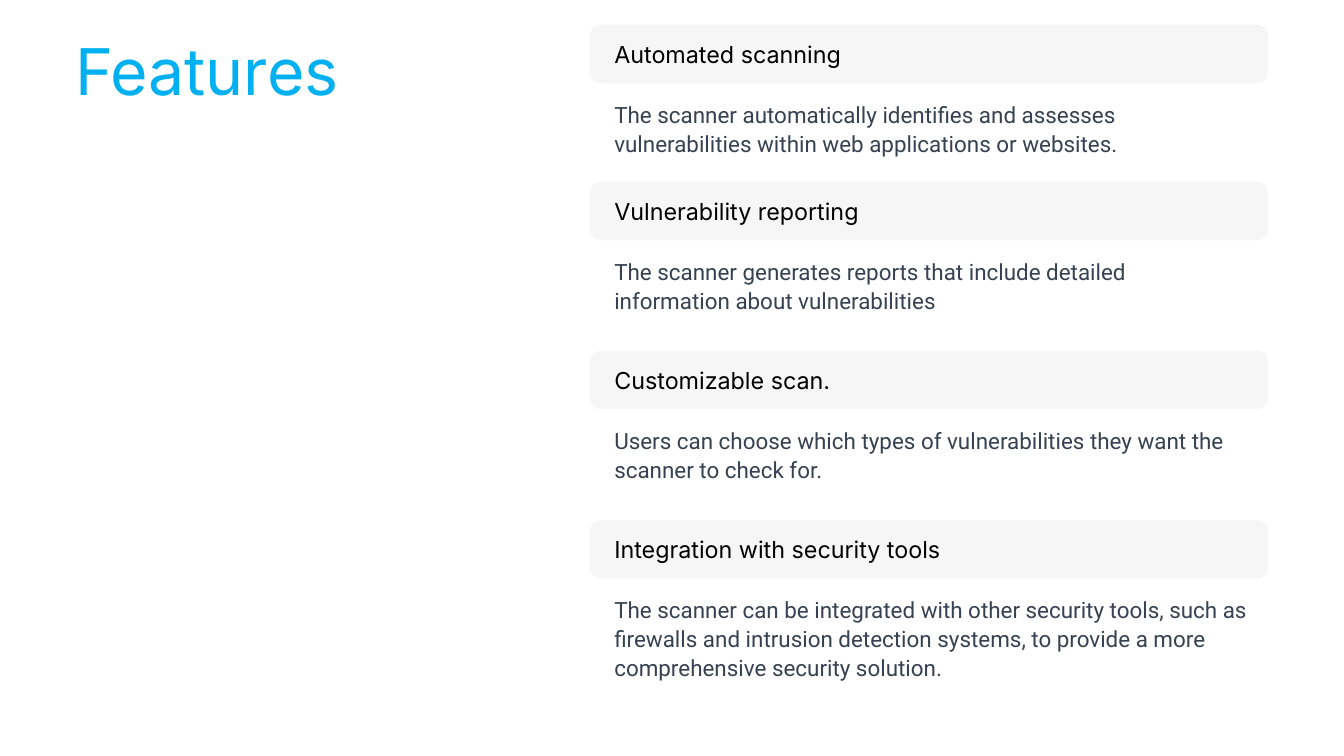
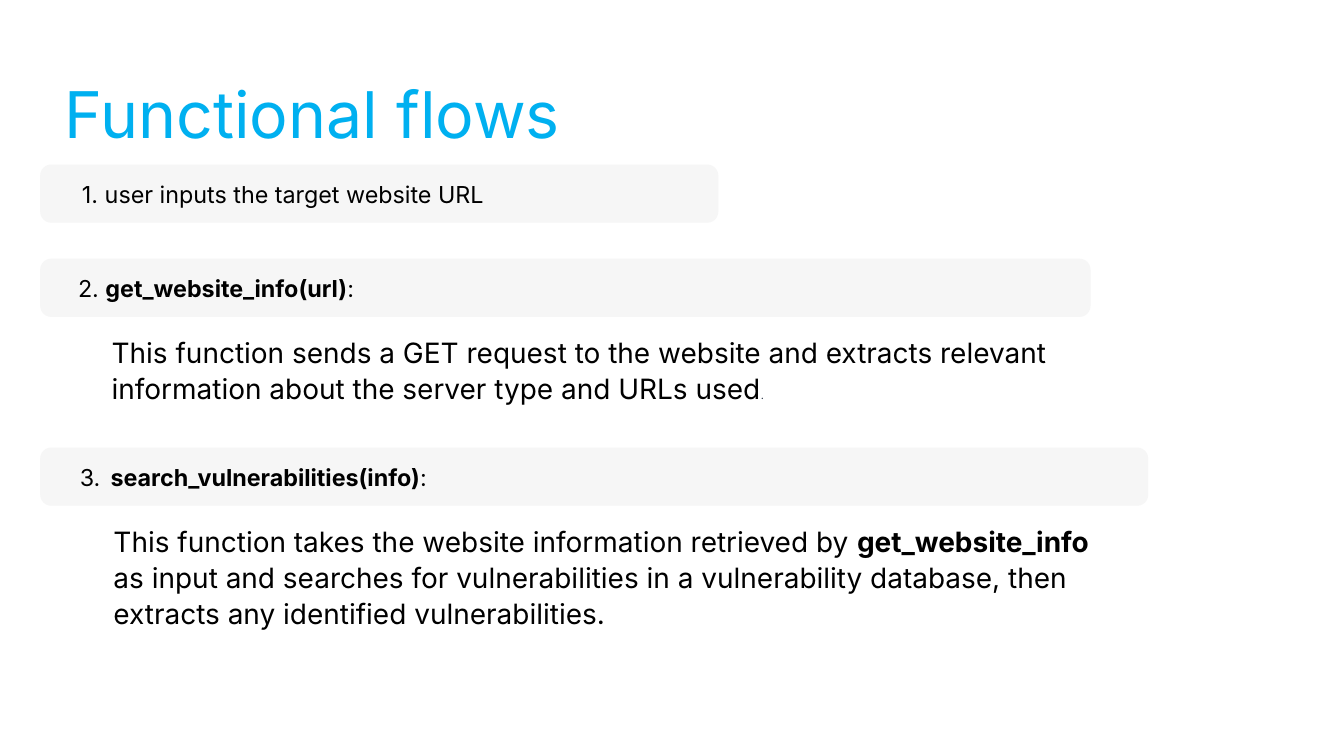
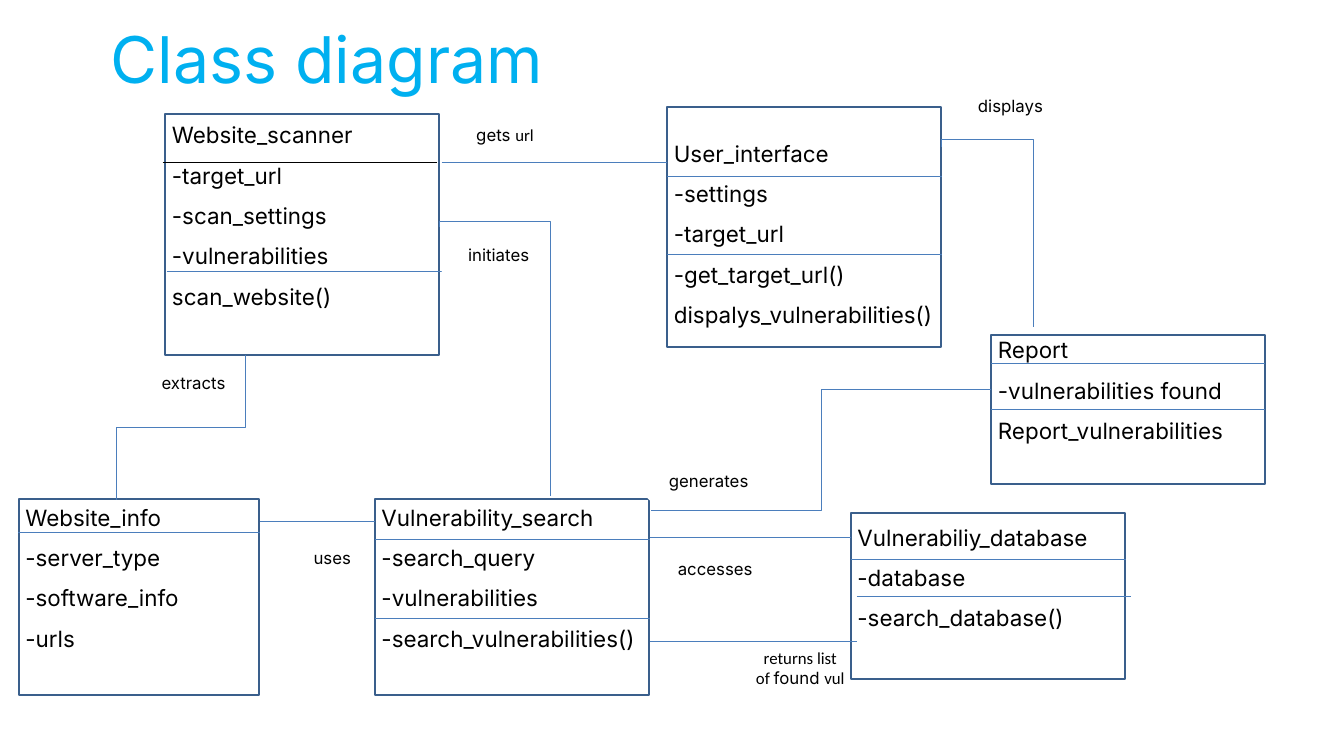
from lxml import etree
from pptx import Presentation
from pptx.dml.color import RGBColor
from pptx.enum import shapes as kinds, text as txt
from pptx.oxml import ns
from pptx.util import Cm, Pt

hues = {"sky": "00B0F0", "ink": "000000", "slate": "374151", "band": "F1F1F1",
        "white": "FFFFFF", "edge": "3A5F8C", "wire": "4B7EBC"}
tint = {name: RGBColor.from_string(code) for name, code in hues.items()}
looks = {
    "title": (69, "Inter", "sky", False),
    "head": (25, "Inter", "ink", False),
    "name": (25, "Inter", "ink", True),
    "gap": (18, "DejaVu Sans Mono", "ink", True),
    "body": (24, "Roboto", "slate", False),
    "large": (30, "Inter", "ink", False),
    "strong": (30, "Inter", "ink", True),
    "dot": (12, "Lato", "slate", False),
    "field": (24, "Inter", "ink", False),
    "note": (18, "Inter", "ink", False),
    "plain": (18, "Calibri", "ink", False),
}


def write(par, bits):
    for words, look in bits:
        run = par.add_run()
        run.text = words
        size, face, hue, bold = looks[look]
        run.font.size = Pt(size)
        run.font.name = face
        run.font.bold = bold
        run.font.color.rgb = tint[hue]


def put(shape, spot, bits, lead):
    shape.left, shape.top, shape.width, shape.height = [Cm(n) for n in spot]
    frame = shape.text_frame
    frame.word_wrap = True
    frame.auto_size = txt.MSO_AUTO_SIZE.NONE
    frame.vertical_anchor = txt.MSO_ANCHOR.TOP
    frame.margin_left = frame.margin_right = frame.margin_top = frame.margin_bottom = 0
    par = frame.paragraphs[0]
    par.alignment = txt.PP_ALIGN.LEFT
    par.line_spacing = lead
    write(par, bits)


deck = Presentation()
deck.slide_width, deck.slide_height = Cm(50.8), Cm(28.58)

feats = [
    (0.94, 23.8, "Automated scanning",
     "The scanner automatically identifies and assesses vulnerabilities within web applications or websites."),
    (6.88, 23.8, "Vulnerability reporting",
     "The scanner generates reports that include detailed information about vulnerabilities"),
    (13.26, 23.8, "Customizable scan.",
     "Users can choose which types of vulnerabilities they want the scanner to check for."),
    (19.66, 24.71, "Integration with security tools",
     "The scanner can be integrated with other security tools, such as firewalls and intrusion detection "
     "systems, to provide a more comprehensive security solution."),
]
cards = [((22.3, top, 25.63), (23.22, 23.8), [(head, "head")], (23.22, wide), [(body, "body")])
         for top, wide, head, body in feats]
flows = [
    ((1.52, 6.22, 25.63), (3.1, 23.8), [("1. user inputs the target website URL", "head")], None, []),
    ((1.52, 9.78, 39.7), (2.95, 36.86),
     [("2. ", "head"), ("get_website_info(url)", "name"), (":", "head")],
     (4.22, 35.59),
     [("This function sends a GET request to the website and extracts relevant information about the "
       "server type and URLs used", "large"), (".", "dot")]),
    ((1.52, 16.92, 41.88), (3.02, 38.89),
     [("3.", "head"), (" ", "gap"), ("search_vulnerabilities(info)", "name"), (":", "head")],
     (4.29, 37.62),
     [("This function takes the website information retrieved by ", "large"),
      ("get_website_info ", "strong"),
      ("as input and searches for vulnerabilities in a vulnerability database, then extracts any "
       "identified vulnerabilities.", "large")]),
]
pages = [
    ("Features", (2.84, 1.19, 16.36, 2.79), Pt(30.8), cards),
    ("Functional flows", (2.44, 2.79, 31.01, 2.79), 1.07, flows),
    ("Class diagram", (4.19, 0.74, 27.03, 2.79), None, []),
]
for title, spot, lead, rows in pages:
    slide = deck.slides.add_slide(deck.slide_layouts[5])
    put(slide.shapes.title, spot, [(title, "title")], Pt(82.8))
    for (left, top, width), (hx, hw), head, side, body in rows:
        bar = slide.shapes.add_shape(kinds.MSO_SHAPE.ROUNDED_RECTANGLE,
                                     Cm(left), Cm(top), Cm(width), Cm(2.2))
        bar.adjustments[0] = 0.19
        bar.shadow.inherit = False
        bar.fill.solid()
        bar.fill.fore_color.rgb = tint["band"]
        hue = bar._element.spPr.find(".//" + ns.qn("a:srgbClr"))
        etree.SubElement(hue, ns.qn("a:alpha"), val="64000")
        bar.line.fill.background()
        put(slide.shapes.add_textbox(0, 0, 0, 0), (hx, top + 0.41, hw, 1.15), head, Pt(35))
        if side:
            put(slide.shapes.add_textbox(0, 0, 0, 0),
                (side[0], top + 2.82, side[1], 3.25 if len(body) > 2 else 2.15), body, lead)

tables = [
    ((6.25, 4.32, 10.36, 9.09), 2.06,
     ["Website_scanner", "-target_url", "-scan_settings", "-vulnerabilities", "scan_website()"]),
    ((0.71, 18.85, 9.09, 7.42), 2.06, ["Website_info", "-server_type", "-software_info", "-urls"]),
    ((14.17, 18.85, 10.36, 7.42), 2.06,
     ["Vulnerability_search", "-search_query", "-vulnerabilities", "-search_vulnerabilities()"]),
    ((25.22, 4.04, 10.36, 9.09), 0.13,
     ["User_interface", "-settings", "-target_url", "-get_target_url()", "dispalys_vulnerabilities()"]),
    ((32.16, 19.41, 10.36, 6.27), 2.06, ["Vulnerabiliy_database", "-database", "-search_database()"]),
    ((37.47, 12.65, 10.36, 5.64), 2.06, ["Report", "-vulnerabilities found", "Report_vulnerabilities"]),
]
for spot, foot, fields in tables:
    box = slide.shapes.add_shape(kinds.MSO_SHAPE.RECTANGLE, *[Cm(n) for n in spot])
    box.shadow.inherit = False
    box.fill.solid()
    box.fill.fore_color.rgb = tint["white"]
    box.line.color.rgb = tint["edge"]
    box.line.width = Pt(2)
    frame = box.text_frame
    frame.margin_bottom = Cm(foot)
    for i, field in enumerate(fields):
        par = frame.add_paragraph() if i else frame.paragraphs[0]
        par.alignment = txt.PP_ALIGN.JUSTIFY
        par.line_spacing = 1.5
        write(par, [(field, "field")])
report = box

rules = [
    (6.15, 16.51, 6.15), (6.3, 16.69, 10.26), (14.17, 24.56, 20.4), (14.17, 24.56, 23.39),
    (0.69, 9.83, 20.12), (25.22, 35.59, 6.65), (25.22, 35.59, 9.63), (32.16, 42.55, 21.13),
    (32.39, 42.75, 22.56), (37.47, 47.83, 13.74), (16.69, 25.22, 6.15), (24.56, 32.16, 20.32),
    (9.83, 14.17, 19.71), (32.39, 24.56, 24.23), (37.47, 47.83, 15.47),
]
wires = [slide.shapes.add_connector(kinds.MSO_CONNECTOR.STRAIGHT, Cm(x1), Cm(y), Cm(x2), Cm(y))
         for x1, x2, y in rules]
wires[-1].begin_connect(report, 1)
wires[-1].end_connect(report, 3)

bends = [
    (16.61, 8.59, 20.8, 18.77, -2100, True),
    (9.27, 13.41, 4.39, 18.9, 50000, True),
    (35.59, 5.56, 39.07, 12.37, -4300, True),
    (24.61, 19.28, 37.47, 14.71, 50000, False),
]
for x1, y1, x2, y2, bend, turn in bends:
    ends = (x1, y1, x2, y2)
    if turn:
        mx, my = (x1 + x2) / 2, (y1 + y2) / 2
        dx, dy = (y2 - y1) / 2, abs(x2 - x1) / 2
        way = 1 if x2 > x1 else -1
        ends = (mx + way * dx, my - dy, mx - way * dx, my + dy)
    wire = slide.shapes.add_connector(kinds.MSO_CONNECTOR.ELBOW, *[Cm(n) for n in ends])
    props = wire._element.spPr
    if turn:
        props.find(ns.qn("a:xfrm")).set("rot", "16200000" if x2 > x1 else "5400000")
    guide = props.find(".//" + ns.qn("a:avLst"))
    etree.SubElement(guide, ns.qn("a:gd"), name="adj1", fmla=f"val {bend}")
    wires.append(wire)

for wire in wires:
    wire.line.color.rgb = tint["wire"]
    wire.line.width = Pt(0.75)
    etree.SubElement(wire._element.spPr, ns.qn("a:effectLst"))
wires[0].line.color.rgb = tint["ink"]

notes = [
    ((16.69, 8.89, 3.86, 1.47), [[("initiates", "note")]]),
    ((5.28, 13.72, 3.61, 1.47), [[("extracts", "note")]]),
    ((17.17, 4.37, 3.38, 1.47), [[("gets ", "note"), ("url", "plain")]]),
    ((24.71, 20.75, 4.19, 1.47), [[("accesses", "note")]]),
    ((27.99, 24.51, 4.06, 1.47),
     [[("returns list", "plain")], [("of ", "plain"), ("found ", "note"), ("vul", "plain")]]),
    ((24.46, 17.45, 4.19, 1.47), [[("generates", "note")]]),
    ((35.92, 3.07, 4.09, 1.83), [[("displays", "note")]]),
    ((10.64, 20.35, 3.38, 1.47), [[("uses", "note")]]),
]
for spot, lines in notes:
    tag = slide.shapes.add_shape(kinds.MSO_SHAPE.ROUNDED_RECTANGLE, *[Cm(n) for n in spot])
    tag.shadow.inherit = False
    tag.fill.solid()
    tag.fill.fore_color.rgb = tint["white"]
    tag.line.color.rgb = tint["white"]
    tag.line.width = Pt(2)
    frame = tag.text_frame
    frame.word_wrap = False
    frame.margin_left, frame.margin_right = Cm(0.46), 0
    for i, bits in enumerate(lines):
        par = frame.add_paragraph() if i else frame.paragraphs[0]
        par.alignment = txt.PP_ALIGN.CENTER
        write(par, bits)

deck.save("out.pptx")
